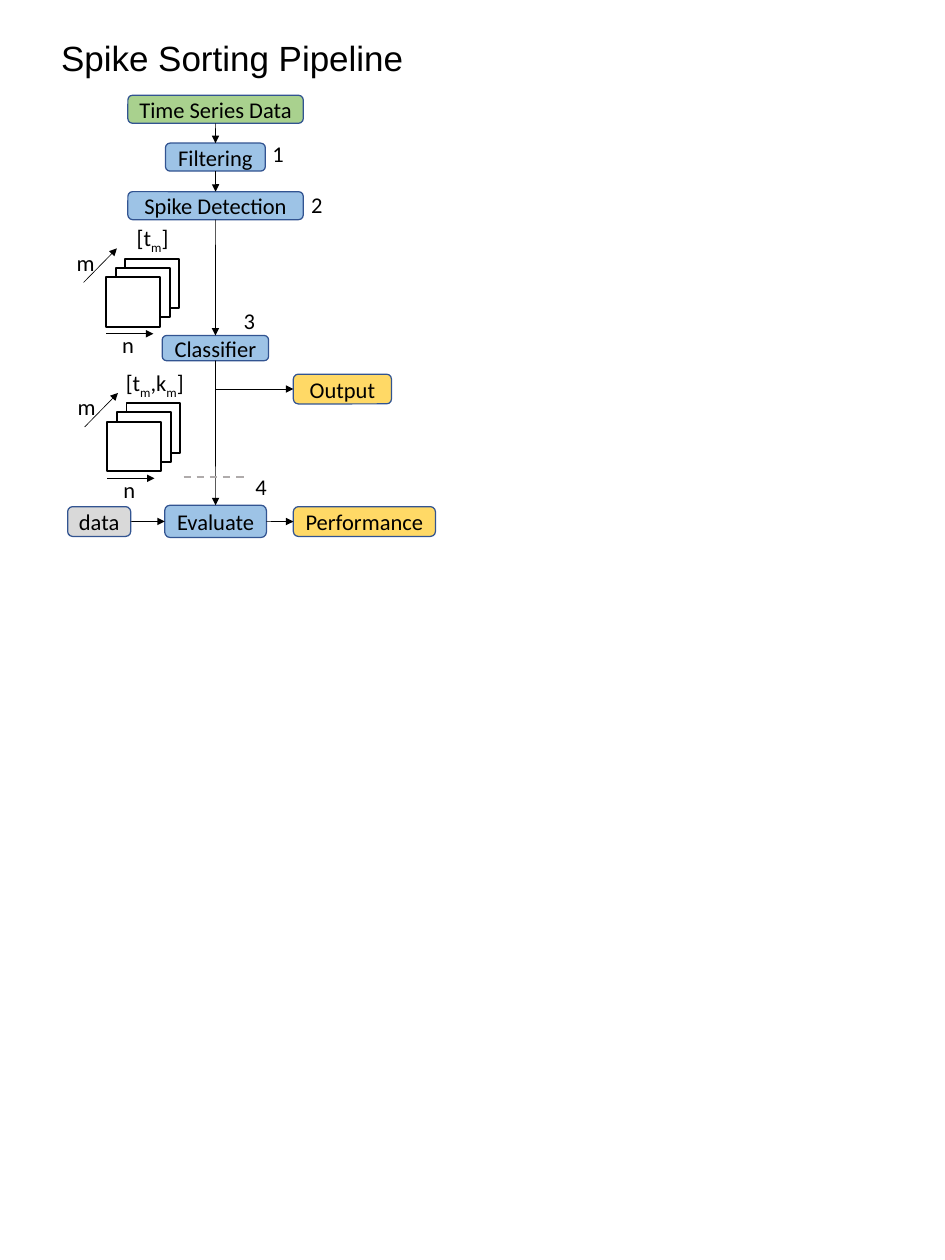
from dataclasses import dataclass

from lxml.etree import SubElement
from pptx import Presentation
from pptx.dml.color import RGBColor
from pptx.enum.dml import MSO_LINE
from pptx.enum.shapes import MSO_CONNECTOR, MSO_SHAPE
from pptx.enum.text import MSO_ANCHOR, MSO_AUTO_SIZE, PP_ALIGN
from pptx.oxml.ns import qn
from pptx.shapes.connector import Connector
from pptx.util import Cm, Pt

COLORS = {
    "black": "000000", "white": "FFFFFF", "outline": "325491", "input": "A9D18E",
    "step": "9DC3E6", "result": "FFD966", "reference": "D9D9D9", "divider": "AFABAB",
}
TOP, LEFT, BOTTOM, RIGHT = range(4)


@dataclass(frozen=True)
class Box:
    text: str
    left: float
    top: float
    width: float
    height: float
    color: str


@dataclass(frozen=True)
class Link:
    source: str
    source_site: int
    target: str
    target_site: int


@dataclass(frozen=True)
class WaveformStack:
    left: float
    top: float
    label: str
    label_offset: float
    label_width: float


BOXES = [
    Box("Time Series Data", 3.61, 2.69, 4.95, 0.79, "input"),
    Box("Filtering", 4.67, 4.04, 2.82, 0.79, "step"),
    Box("Spike Detection", 3.61, 5.41, 4.95, 0.79, "step"),
    Box("Classifier", 4.58, 9.47, 3.0, 0.71, "step"),
    Box("Output", 8.28, 10.56, 2.77, 0.84, "result"),
    Box("Evaluate", 4.65, 14.26, 2.87, 0.91, "step"),
    Box("data", 1.91, 14.3, 1.78, 0.84, "reference"),
    Box("Performance", 8.28, 14.3, 4.01, 0.84, "result"),
]
LINKS = [
    Link("Time Series Data", BOTTOM, "Filtering", TOP),
    Link("Filtering", BOTTOM, "Spike Detection", TOP),
    Link("Spike Detection", BOTTOM, "Classifier", TOP),
    Link("Classifier", BOTTOM, "Evaluate", TOP),
    Link("Classifier", BOTTOM, "Output", LEFT),
    Link("data", RIGHT, "Evaluate", LEFT),
    Link("Evaluate", RIGHT, "Performance", LEFT),
]
STACKS = [
    WaveformStack(3.0, 7.82, "[t_m_]", 0.61, 1.78),
    WaveformStack(3.03, 11.9, "[t_m_,k_m_]", 0.27, 2.49),
]
STEP_NUMBERS = {"1": (7.44, 3.84), "2": (8.53, 5.28), "3": (6.63, 8.53), "4": (6.96, 13.23)}


def color(name: str) -> RGBColor:
    return RGBColor.from_string(COLORS[name])


def format_paragraph(paragraph, size: float = 18, font_name: str = "Calibri") -> None:
    paragraph.font.name = font_name
    paragraph.font.size = Pt(size)
    paragraph.font.color.rgb = color("black")


def add_filled(shapes, kind, left: float, top: float, width: float, height: float,
               fill: str, outline: str, weight: float):
    shape = shapes.add_shape(kind, Cm(left), Cm(top), Cm(width), Cm(height))
    shape.shadow.inherit = False
    shape.fill.solid()
    shape.fill.fore_color.rgb = color(fill)
    shape.line.color.rgb = color(outline)
    shape.line.width = Pt(weight)
    return shape


def add_box(shapes, box: Box):
    shape = add_filled(shapes, MSO_SHAPE.ROUNDED_RECTANGLE, box.left, box.top,
                       box.width, box.height, box.color, "outline", 1)
    shape.text_frame.vertical_anchor = MSO_ANCHOR.MIDDLE
    paragraph = shape.text_frame.paragraphs[0]
    paragraph.text = box.text
    paragraph.alignment = PP_ALIGN.CENTER
    format_paragraph(paragraph)
    return shape


def add_label(shapes, text: str, left: float, top: float, width: float,
              height: float = 1.02, wrap: bool = True) -> None:
    frame = shapes.add_textbox(Cm(left), Cm(top), Cm(width), Cm(height)).text_frame
    frame.word_wrap = wrap
    frame.auto_size = MSO_AUTO_SIZE.SHAPE_TO_FIT_TEXT
    paragraph = frame.paragraphs[0]
    format_paragraph(paragraph)
    for index, part in enumerate(text.split("_")):
        run = paragraph.add_run()
        run.text = part
        if index % 2:
            run.font._element.set("baseline", "-25000")


def add_line(shapes, start: tuple[float, float], end: tuple[float, float],
             kind=MSO_CONNECTOR.STRAIGHT, line_color: str = "black",
             weight: float = 0.5, arrow: bool = True) -> Connector:
    connector = shapes.add_connector(kind, *map(Cm, (*start, *end)))
    connector.line.color.rgb = color(line_color)
    connector.line.width = Pt(weight)
    if arrow:
        SubElement(connector.line._get_or_add_ln(), qn("a:tailEnd"), type="triangle")
    SubElement(connector.element.spPr, qn("a:effectLst"))
    return connector


def bend_down_then_right(connector: Connector) -> None:
    left, top, width, height = connector.left, connector.top, connector.width, connector.height
    connector.left = left + (width - height) // 2
    connector.top = top + (height - width) // 2
    connector.width, connector.height = height, width
    properties = connector.element.spPr
    properties.find(qn("a:prstGeom")).set("prst", "bentConnector2")
    transform = properties.find(qn("a:xfrm"))
    transform.set("rot", "16200000")
    transform.set("flipH", "1")


def add_link(shapes, link: Link, boxes: dict) -> None:
    turns = link.source_site == BOTTOM and link.target_site == LEFT
    kind = MSO_CONNECTOR.ELBOW if turns else MSO_CONNECTOR.STRAIGHT
    connector = add_line(shapes, (0, 0), (1, 1), kind)
    connector.begin_connect(boxes[link.source], link.source_site)
    connector.end_connect(boxes[link.target], link.target_site)
    if turns:
        bend_down_then_right(connector)


def add_stack(shapes, stack: WaveformStack) -> None:
    group = shapes.add_group_shape().shapes
    left, top = stack.left, stack.top
    for depth in (2, 1, 0):
        add_filled(group, MSO_SHAPE.RECTANGLE, left + 0.27 * depth, top - 0.26 * depth,
                   1.52, 1.4, "white", "black", 1.5)
    add_label(group, "n", left + 0.2, top + 1.4, 0.89, 1.3)
    add_line(group, (left, top + 1.6), (left + 1.33, top + 1.6))
    add_line(group, (left - 0.64, top + 0.15), (left + 0.3, top - 0.81))
    add_label(group, "m", left - 1.09, top - 0.92, 1.07, 1.3)
    add_label(group, stack.label, left + stack.label_offset, top - 1.61, stack.label_width, 1.3)


def add_title(slide, text: str) -> None:
    title = slide.shapes.title
    title.left, title.top, title.width, title.height = map(Cm, (1.47, 0.91, 10.29, 1.45))
    frame = title.text_frame
    frame.text = text
    frame.word_wrap = False
    frame.auto_size = MSO_AUTO_SIZE.NONE
    frame.vertical_anchor = MSO_ANCHOR.TOP
    frame.paragraphs[0].alignment = PP_ALIGN.LEFT
    format_paragraph(frame.paragraphs[0], 28, "Arial")


def main() -> None:
    presentation = Presentation()
    presentation.slide_width, presentation.slide_height = Cm(26.67), Cm(35.56)
    slide = presentation.slides.add_slide(presentation.slide_layouts[5])
    shapes = slide.shapes
    add_title(slide, "Spike Sorting Pipeline")
    boxes = {box.text: add_box(shapes, box) for box in BOXES}
    for stack in STACKS:
        add_stack(shapes, stack)
    for link in LINKS:
        add_link(shapes, link, boxes)
    divider = add_line(shapes, (5.18, 13.46), (6.96, 13.46), line_color="divider",
                       weight=1.5, arrow=False)
    divider.line.dash_style = MSO_LINE.DASH
    for number, (left, top) in STEP_NUMBERS.items():
        add_label(shapes, number, left, top, 0.84, wrap=False)
    presentation.save("out.pptx")


main()
